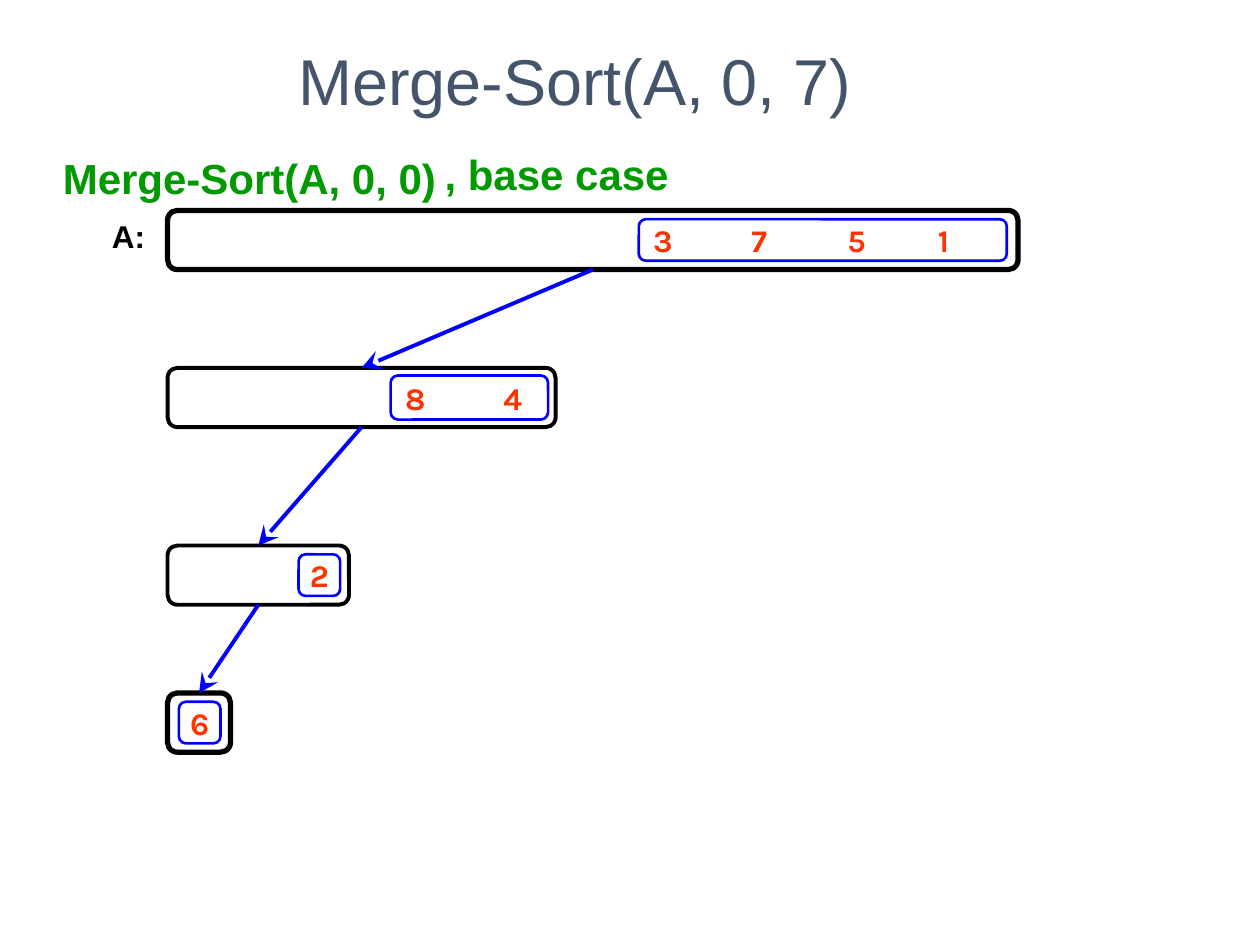
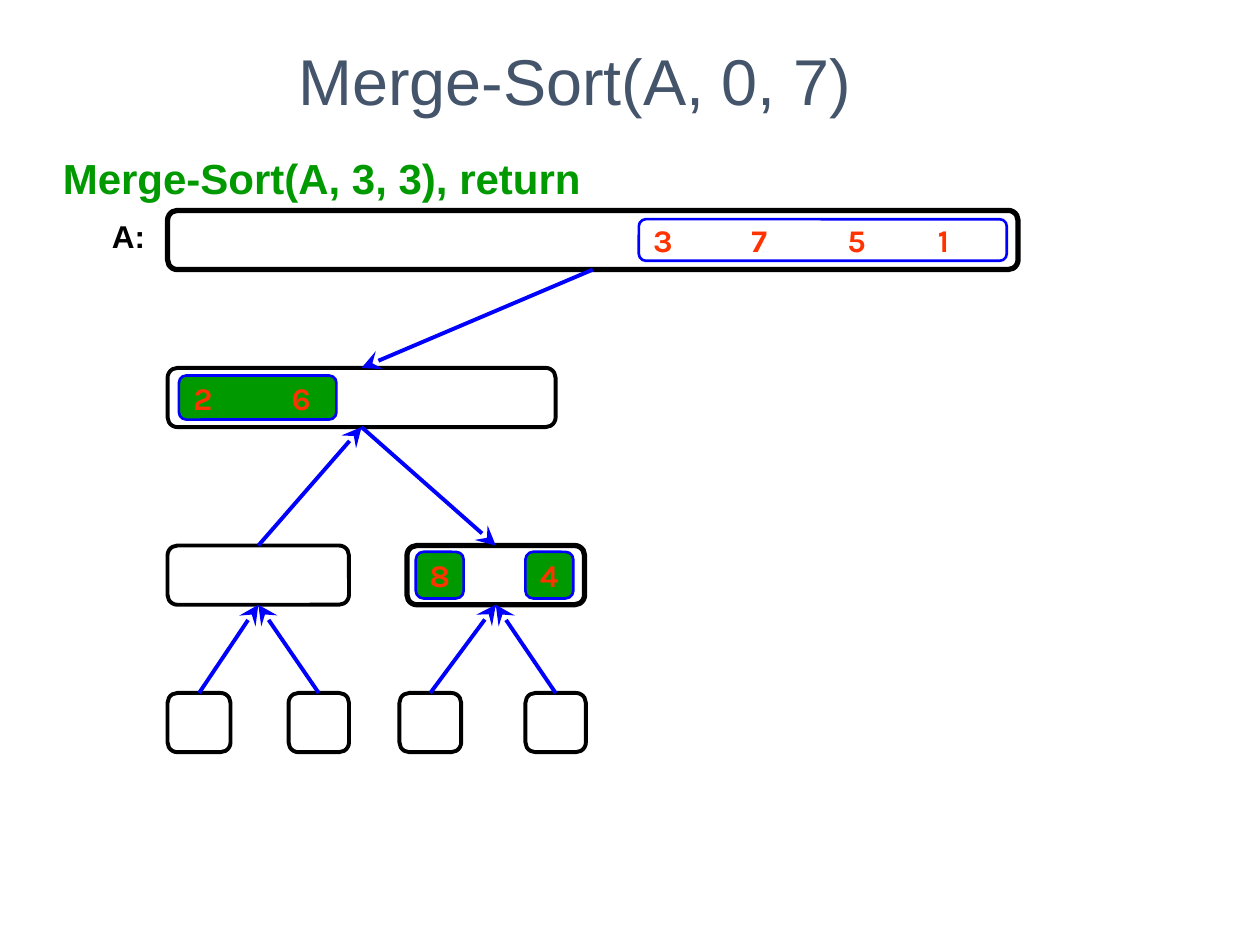
"""Build two slides that trace the recursion tree of Merge-Sort(A, 0, 7)."""
from dataclasses import dataclass

from lxml import etree
from pptx import Presentation
from pptx.dml.color import RGBColor
from pptx.enum.shapes import MSO_CONNECTOR, MSO_SHAPE
from pptx.enum.text import MSO_ANCHOR, PP_ALIGN
from pptx.oxml.ns import qn
from pptx.util import Emu, Inches, Pt

ROUNDED = MSO_SHAPE.ROUNDED_RECTANGLE
STRAIGHT = MSO_CONNECTOR.STRAIGHT
LEFT, CENTER = PP_ALIGN.LEFT, PP_ALIGN.CENTER
TOP, MIDDLE, BOTTOM = MSO_ANCHOR.TOP, MSO_ANCHOR.MIDDLE, MSO_ANCHOR.BOTTOM
TOP_SIDE, BOTTOM_SIDE = 0, 2

SLIDE_WIDTH, SLIDE_HEIGHT = Inches(10), Inches(7.5)
GRID_COLUMNS, GRID_ROWS = 100, 75
LEVEL_ROWS = (16.7, 29.2, 43.3, 55)
NODE_ROWS = 4.7
TREE_LEFT = 13.3
CALL, RETURN = "a:tailEnd", "a:headEnd"
ARROWHEAD = {"type": "stealth", "w": "lg", "len": "lg"}


def rgb(code):
    """Return the colour for a hex code."""
    return RGBColor.from_string(code)


@dataclass(frozen=True)
class Theme:
    """Colours, line widths and type styles shared by the slides."""

    outline = rgb("000000")
    accent = rgb("0000FF")
    done = rgb("009900")
    corner = 0.167
    thin = Pt(1.5)
    normal = Pt(2.25)
    active = Pt(3)
    title = {"name": "Arial", "size": Pt(37), "bold": False}, rgb("44546A")
    call = {"name": "Arial", "size": Pt(24), "bold": True}, rgb("009900")
    label = {"name": "Arial", "size": Pt(18), "bold": True}, rgb("000000")
    value = {"name": "Karla", "size": Pt(18), "bold": True}, rgb("FF3300")


THEME = Theme()


def place(column, row, columns, rows):
    """Turn a grid position into slide lengths."""
    across, down = SLIDE_WIDTH / GRID_COLUMNS, SLIDE_HEIGHT / GRID_ROWS
    return [Emu(round(length)) for length in
            (column * across, row * down, columns * across, rows * down)]


def set_all(target, values):
    """Set each named attribute of the target."""
    for name, value in values.items():
        setattr(target, name, value)


def write(frame, text, style, align=LEFT, tabs=(), **layout):
    """Write one styled line into a text frame."""
    set_all(frame, {"word_wrap": True, **layout})
    paragraph = frame.paragraphs[0]
    paragraph.alignment = align
    if tabs:
        stops = etree.SubElement(paragraph._p.get_or_add_pPr(), qn("a:tabLst"))
        for stop in tabs:
            etree.SubElement(stops, qn("a:tab"), pos=str(Inches(stop)), algn="l")
    run = paragraph.add_run()
    run.text = text
    font_values, color = style
    set_all(run.font, font_values)
    run.font.color.rgb = color


def add_line_of_text(slide, spot, text, style, align=LEFT, **layout):
    """Add a text box holding one line."""
    frame = slide.shapes.add_textbox(*place(*spot)).text_frame
    write(frame, text, style, align, **{"vertical_anchor": TOP, **layout})


def add_rounded(slide, spot, color, width, fill=None):
    """Add an outlined rounded rectangle."""
    box = slide.shapes.add_shape(ROUNDED, *place(*spot))
    box.adjustments[0] = THEME.corner
    box.shadow.inherit = False
    if fill is None:
        box.fill.background()
    else:
        box.fill.solid()
        box.fill.fore_color.rgb = fill
    box.line.color.rgb = color
    box.line.width = width
    return box


def add_node(slide, level, left, columns, width=THEME.normal):
    """Add one subarray frame on a level of the tree."""
    spot = left, LEVEL_ROWS[level], columns, NODE_ROWS
    return add_rounded(slide, spot, THEME.outline, width)


def add_values(slide, level, left, columns, rows, values, tabs=(), fill=None):
    """Add a group of array values centred on the height of its level."""
    top = LEVEL_ROWS[level] + (NODE_ROWS - rows) / 2
    group = add_rounded(slide, (left, top, columns, rows),
                        THEME.accent, THEME.thin, fill)
    inset = Inches(0.1) if tabs else 0
    write(group.text_frame, "\t".join(values), THEME.value,
          LEFT if tabs else CENTER, tabs,
          vertical_anchor=MIDDLE, margin_left=inset, margin_right=inset)


def add_step(slide, parent, child, direction):
    """Join a parent to its child with an arrow for a call or a return."""
    step = slide.shapes.add_connector(STRAIGHT, 0, 0, 0, 0)
    step.begin_connect(parent, BOTTOM_SIDE)
    step.end_connect(child, TOP_SIDE)
    step.line.color.rgb = THEME.accent
    step.line.width = THEME.normal
    etree.SubElement(step.line._get_or_add_ln(), qn(direction), ARROWHEAD)
    etree.SubElement(step._element.spPr, qn("a:effectLst"))


def start_slide(deck):
    """Add a slide with the title and the top two levels of the tree."""
    slide = deck.slides.add_slide(deck.slide_layouts[6])
    add_line_of_text(slide, (4.4, 3.5, 82.5, 6.4), "Merge-Sort(A, 0, 7)",
                     THEME.title, CENTER, vertical_anchor=BOTTOM)
    add_line_of_text(slide, (7.9, 16.7, 4.6, 4), "A:", THEME.label, margin_right=0)
    whole = add_node(slide, 0, TREE_LEFT, 67.5, THEME.active)
    half = add_node(slide, 1, TREE_LEFT, 30.8)
    add_step(slide, whole, half, CALL)
    add_values(slide, 0, 50.7, 29.2, 3.3, "3751", (0.78, 1.54, 2.26))
    return slide, half


def build_base_case(deck):
    """Show the calls down to the first single value."""
    slide, half = start_slide(deck)
    add_line_of_text(slide, (4, 11.6, 35.6, 5), "Merge-Sort(A, 0, 0)", THEME.call)
    add_line_of_text(slide, (34.3, 11.3, 24.3, 5), ", base case", THEME.call)
    pair = add_node(slide, 2, TREE_LEFT, 14.4)
    single = add_node(slide, 3, TREE_LEFT, 5, THEME.active)
    add_step(slide, half, pair, CALL)
    add_step(slide, pair, single, CALL)
    add_values(slide, 1, 31, 12.5, 3.5, "84", (0.78,))
    add_values(slide, 2, 23.7, 3.3, 3.3, "2")
    add_values(slide, 3, 14.2, 3.3, 3.3, "6")


def build_return(deck):
    """Show the left half after its fourth single value returns."""
    slide, half = start_slide(deck)
    add_line_of_text(slide, (4, 11.6, 45.7, 5),
                     "Merge-Sort(A, 3, 3), return", THEME.call)
    merged_pair = add_node(slide, 2, TREE_LEFT, 14.4)
    active_pair = add_node(slide, 2, 32.3, 14.1, THEME.active)
    add_step(slide, half, merged_pair, RETURN)
    add_step(slide, half, active_pair, CALL)
    singles = ((merged_pair, TREE_LEFT, 5), (merged_pair, 22.9, 4.8),
               (active_pair, 31.7, 4.9), (active_pair, 41.7, 4.8))
    for pair, left, columns in singles:
        add_step(slide, pair, add_node(slide, 3, left, columns), RETURN)
    add_values(slide, 1, 14.2, 12.5, 3.5, "26", (0.78,), THEME.done)
    for value, left in (("8", 33), ("4", 41.7)):
        add_values(slide, 2, left, 3.8, 3.7, value, fill=THEME.done)


def main():
    """Build and save the deck."""
    deck = Presentation()
    deck.slide_width, deck.slide_height = SLIDE_WIDTH, SLIDE_HEIGHT
    build_base_case(deck)
    build_return(deck)
    deck.save("out.pptx")


if __name__ == "__main__":
    main()
